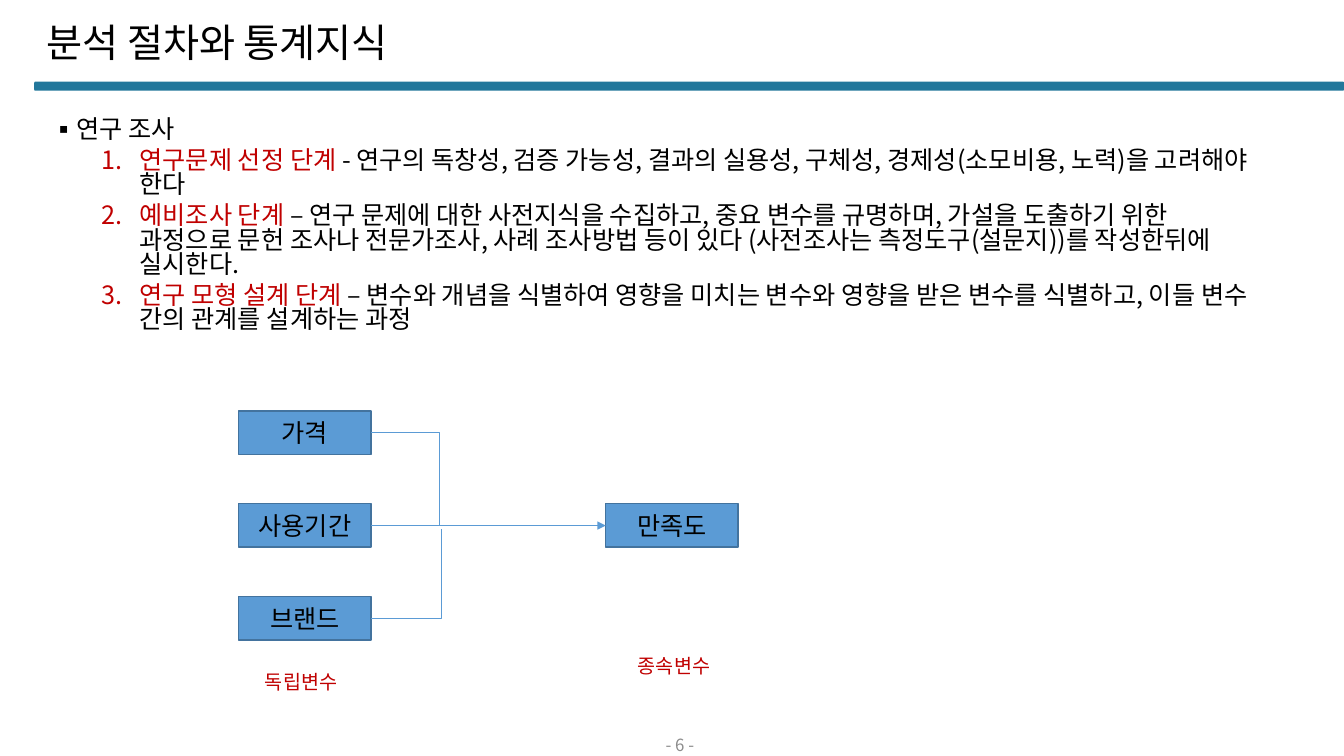
import pptx
import pptx.util
import pptx.dml.color
import pptx.enum.shapes
import pptx.enum.text
import pptx.oxml
import pptx.oxml.ns

Pt = pptx.util.Pt
Align = pptx.enum.text.PP_ALIGN
Anchor = pptx.enum.text.MSO_ANCHOR
AutoSize = pptx.enum.text.MSO_AUTO_SIZE
Shape = pptx.enum.shapes.MSO_SHAPE
Line = pptx.enum.shapes.MSO_CONNECTOR

COLORS = {
    "bar": "22779B",
    "box": "5B9BD5",
    "outline": "43739E",
    "text": "000000",
    "accent": "C00000",
    "page": "8C8C8C",
}


def rgb(name):
    return pptx.dml.color.RGBColor.from_string(COLORS[name])


def xml_element(tag, **attributes):
    element = pptx.oxml.parse_xml(f"<a:{tag} {pptx.oxml.ns.nsdecls('a')}/>")
    for name, value in attributes.items():
        element.set(name, value)
    return element


class SlideBuilder:
    font = "Noto Sans CJK KR"

    def __init__(self, slide):
        self.slide = slide
        self.shapes = slide.shapes

    def style(self, paragraph, size, color="text", align=Align.LEFT):
        paragraph.alignment = align
        paragraph.font.size = Pt(size)
        paragraph.font.bold = False
        paragraph.font.color.rgb = rgb(color)
        paragraph.font.name = self.font
        defaults = paragraph._p.pPr.find(pptx.oxml.ns.qn("a:defRPr"))
        defaults.append(xml_element("ea", typeface=self.font))
        return defaults

    def place(self, placeholder, left, top, width, height):
        placeholder.left, placeholder.top = Pt(left), Pt(top)
        placeholder.width, placeholder.height = Pt(width), Pt(height)
        frame = placeholder.text_frame
        frame.word_wrap = True
        frame.vertical_anchor = Anchor.TOP
        frame.auto_size = AutoSize.TEXT_TO_FIT_SHAPE
        return frame

    def title(self, text, *bounds):
        frame = self.place(self.shapes.title, *bounds)
        frame.text = text
        heading = frame.paragraphs[0]
        heading.line_spacing = 0.9
        self.style(heading, 30)

    def outline(self, topic, steps, *bounds):
        frame = self.place(self.slide.placeholders[1], *bounds)
        heading = frame.paragraphs[0]
        heading.add_run().text = topic
        self.list_item(heading, 10, 18, 18, xml_element("buChar", char="▪"))
        for name, detail in steps:
            step = frame.add_paragraph()
            step.level = 1
            for text, color in ((name + " ", "accent"), (detail, "text")):
                run = step.add_run()
                run.text = text
                run.font.color.rgb = rgb(color)
            self.list_item(step, 5, 63, 27,
                           xml_element("buAutoNum", type="arabicPeriod"))

    def list_item(self, paragraph, before, margin, hanging, bullet):
        paragraph.line_spacing = 0.8
        paragraph.space_before = Pt(before)
        defaults = self.style(paragraph, 18)
        properties = paragraph._p.pPr
        properties.set("marL", str(Pt(margin)))
        properties.set("indent", str(-Pt(hanging)))
        defaults.addprevious(xml_element("buFont", typeface=self.font))
        defaults.addprevious(bullet)

    def bar(self, left, top, width, height):
        bar = self.shapes.add_shape(Shape.ROUNDED_RECTANGLE, Pt(left), Pt(top), Pt(width), Pt(height))
        bar.adjustments[0] = 0.13
        bar.shadow.inherit = False
        bar.fill.solid()
        bar.fill.fore_color.rgb = rgb("bar")
        bar.line.fill.background()

    def box(self, text, left, top, width, height):
        box = self.shapes.add_shape(Shape.RECTANGLE, Pt(left), Pt(top), Pt(width), Pt(height))
        box.shadow.inherit = False
        box.fill.solid()
        box.fill.fore_color.rgb = rgb("box")
        box.line.color.rgb = rgb("outline")
        box.line.width = Pt(1)
        box.text_frame.text = text
        box.text_frame.vertical_anchor = Anchor.MIDDLE
        self.style(box.text_frame.paragraphs[0], 18, align=Align.CENTER)

    def label(self, text, left, top, width, height, size, color,
              align=Align.LEFT, anchor=Anchor.TOP, fit=AutoSize.SHAPE_TO_FIT_TEXT):
        label = self.shapes.add_textbox(Pt(left), Pt(top), Pt(width), Pt(height))
        frame = label.text_frame
        frame.word_wrap = True
        frame.auto_size = fit
        frame.vertical_anchor = anchor
        frame.text = text
        self.style(frame.paragraphs[0], size, color, align)

    def connect(self, start, end, bent=False, arrow=False):
        kind = Line.ELBOW if bent else Line.STRAIGHT
        link = self.shapes.add_connector(kind, *map(Pt, start + end))
        link.line.color.rgb = rgb("box")
        link.line.width = Pt(0.5)
        properties = link._element.spPr
        if bent:
            geometry = properties.find(pptx.oxml.ns.qn("a:prstGeom"))
            geometry.set("prst", "bentConnector2")
        if arrow:
            outline = properties.find(pptx.oxml.ns.qn("a:ln"))
            outline.append(xml_element("tailEnd", type="triangle"))
        properties.append(xml_element("effectLst"))


def main():
    deck = pptx.Presentation()
    deck.slide_width, deck.slide_height = Pt(960), Pt(540)
    page = SlideBuilder(deck.slides.add_slide(deck.slide_layouts[1]))

    # Heading and page number
    page.bar(24.5, 58.3, 935.5, 6.5)
    page.label("- 6 -", 373.7, 523.4, 223.9, 16.6, 12, "page",
               Align.CENTER, Anchor.MIDDLE, AutoSize.NONE)
    page.title("분석 절차와 통계지식", 25.9, 18, 828, 31.7)

    # Research steps
    steps = [
        ("연구문제 선정 단계",
         "- 연구의 독창성, 검증 가능성, 결과의 실용성, 구체성, 경제성(소모비용, 노력)을 고려해야 한다"),
        ("예비조사 단계",
         "– 연구 문제에 대한 사전지식을 수집하고, 중요 변수를 규명하며, 가설을 도출하기 위한 과정으로 "
         "문헌 조사나 전문가조사, 사례 조사방법 등이 있다 (사전조사는 측정도구(설문지))를 작성한뒤에 실시한다."),
        ("연구 모형 설계 단계",
         "– 변수와 개념을 식별하여 영향을 미치는 변수와 영향을 받은 변수를 식별하고, "
         "이들 변수 간의 관계를 설계하는 과정"),
    ]
    page.outline("연구 조사", steps, 29.5, 81.4, 882, 175.7)

    # Variables
    width, height = 94.5, 31
    cause_left, effect_left = 170.5, 432.7
    first_top, pitch = 293.6, 66.3
    for row, cause in enumerate(("가격", "사용기간", "브랜드")):
        page.box(cause, cause_left, first_top + row * pitch, width, height)
    page.box("만족도", effect_left, first_top + pitch, width, height)

    # Links from causes to effect
    cause_right = cause_left + width
    price_y, period_y, brand_y = (first_top + height / 2 + row * pitch for row in range(3))
    page.connect((cause_right, period_y), (effect_left, period_y), arrow=True)
    page.connect((cause_right, price_y), (313.9, period_y), bent=True)
    page.connect((cause_right, brand_y), (315.4, period_y + 2.6), bent=True)

    # Variable kinds
    page.label("독립변수", 182.2, 475.2, width, 24.2, 14, "accent")
    page.label("종속변수", 448.6, 463.7, width, 24.2, 14, "accent")

    deck.save("out.pptx")


if __name__ == "__main__":
    main()
